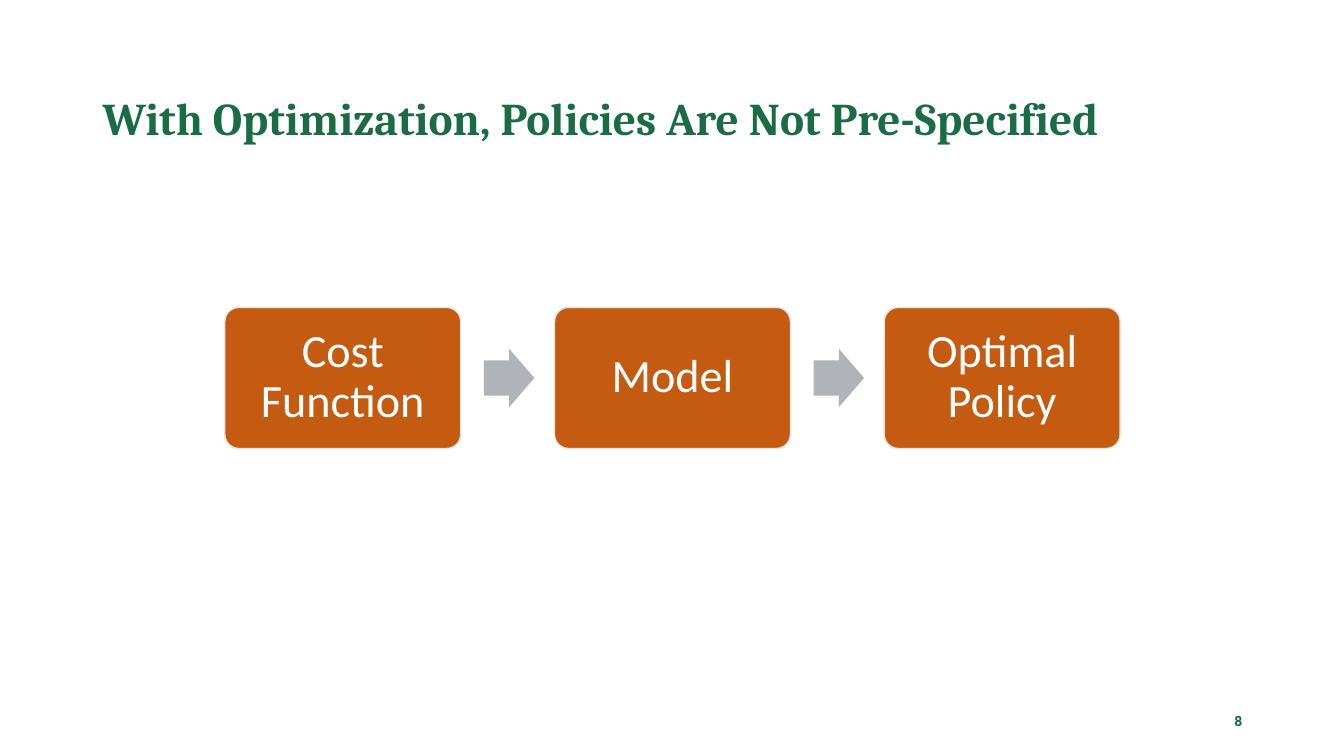
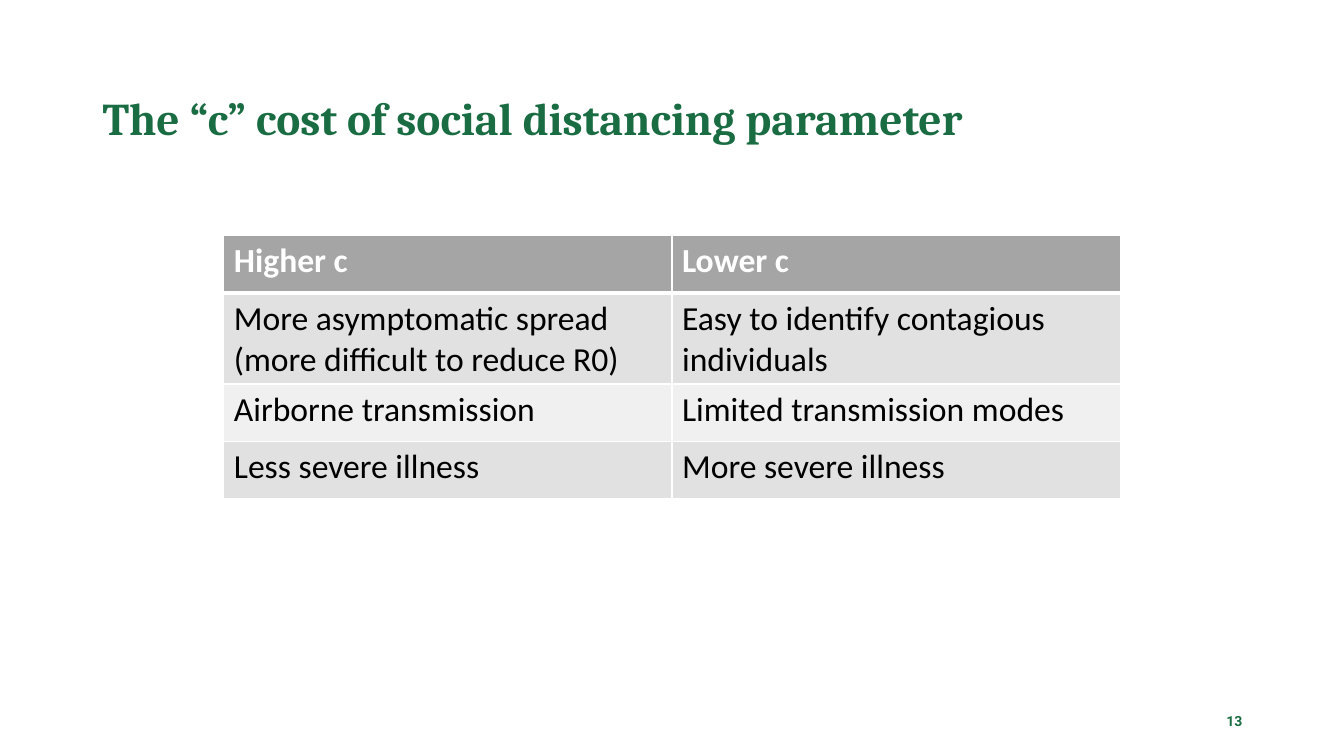
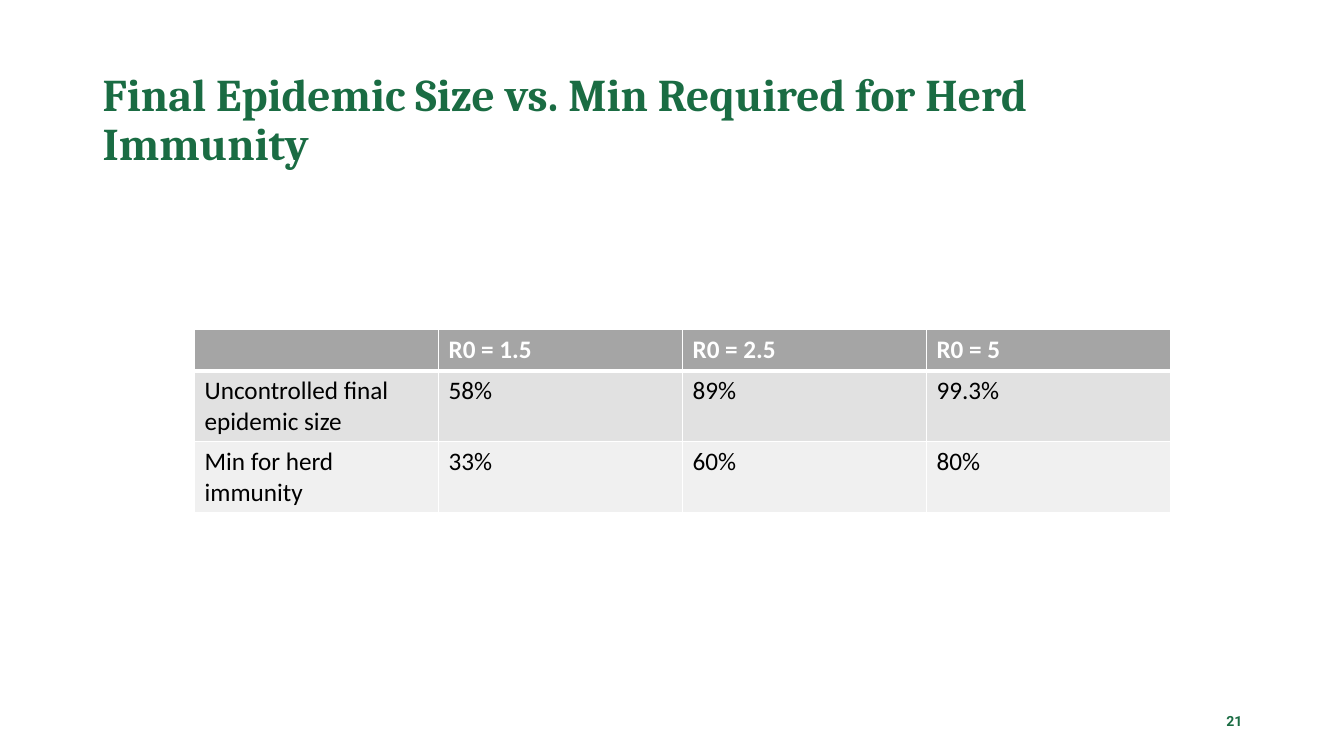
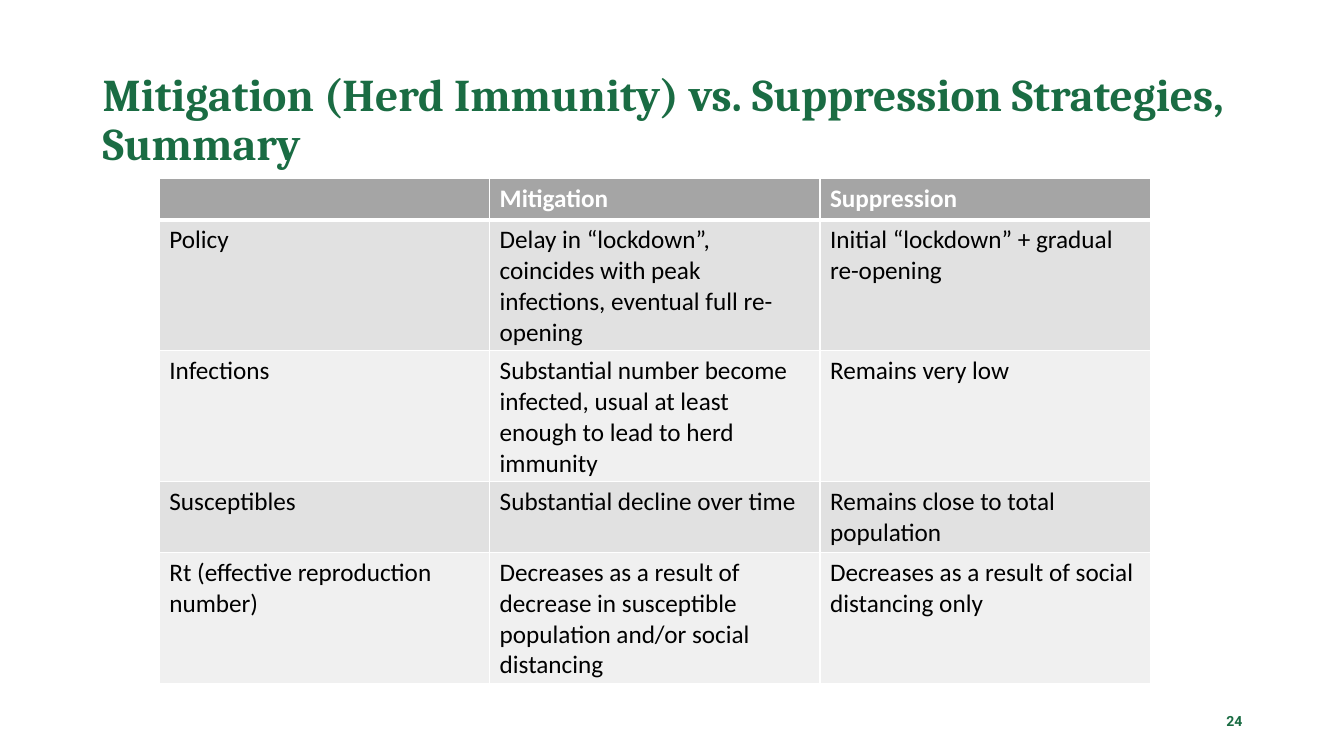
from lxml.etree import SubElement
from pptx import Presentation
from pptx.dml.color import RGBColor
from pptx.enum.shapes import MSO_SHAPE as Shape
from pptx.enum.text import MSO_ANCHOR as Anchor, PP_ALIGN as Align
from pptx.oxml.ns import qn
from pptx.util import Inches, Pt

GREEN = RGBColor(0x1A, 0x6C, 0x43)
ORANGE = RGBColor(0xC5, 0x5A, 0x11)
ARROW_GRAY = RGBColor(0xB0, 0xB4, 0xB9)
OUTLINE = RGBColor(0xE7, 0xE6, 0xE6)
HEADER = RGBColor(0xA5, 0xA5, 0xA5)
BAND_DARK = RGBColor(0xE1, 0xE1, 0xE1)
BAND_LIGHT = RGBColor(0xF0, 0xF0, 0xF0)
WHITE = RGBColor(0xFF, 0xFF, 0xFF)
BLACK = RGBColor(0x00, 0x00, 0x00)


def write(frame, text, *, size, color, font="Calibri", bold=False,
          align=Align.LEFT, spacing=1.0, anchor=Anchor.MIDDLE):
    frame.word_wrap = True
    frame.vertical_anchor = anchor
    para = frame.paragraphs[0]
    para.alignment = align
    para.line_spacing = spacing
    span = para.add_run()
    span.text = text
    span.font.name = font
    span.font.size = Pt(size)
    span.font.bold = bold
    span.font.color.rgb = color


def add_grid(page, rows, left, top, width, row_height, size):
    table = page.shapes.add_table(
        len(rows), len(rows[0]), Inches(left), Inches(top),
        Inches(width), Inches(row_height * len(rows))).table
    table.first_row = table.horz_banding = False
    for r, row in enumerate(rows):
        fill = HEADER if r == 0 else BAND_DARK if r % 2 else BAND_LIGHT
        for c, text in enumerate(row):
            cell = table.cell(r, c)
            # White borders, with a heavy rule under the header
            heavy_side = {0: "lnB", 1: "lnT"}.get(r)
            for side in ("lnL", "lnR", "lnT", "lnB"):
                points = 3 if side == heavy_side else 1
                border = SubElement(cell._tc.get_or_add_tcPr(),
                                    qn(f"a:{side}"), w=str(Pt(points)))
                paint = SubElement(border, qn("a:solidFill"))
                SubElement(paint, qn("a:srgbClr"), val=str(WHITE))
            cell.fill.solid()
            cell.fill.fore_color.rgb = fill
            if text:
                write(cell.text_frame, text, size=size, bold=r == 0,
                      color=BLACK if r else WHITE, anchor=Anchor.TOP)


deck = Presentation()
deck.slide_width = Inches(13.33)
deck.slide_height = Inches(7.5)

# Titles and page numbers
headings = [
    ("With Optimization, Policies Are Not Pre-Specified", 8),
    ("The “c” cost of social distancing parameter", 13),
    ("Final Epidemic Size vs. Min Required for Herd Immunity", 21),
    ("Mitigation (Herd Immunity) vs. Suppression Strategies, Summary", 24),
]
pages = []
for title, number in headings:
    page = deck.slides.add_slide(deck.slide_layouts[6])
    box = page.shapes.add_textbox(Inches(0.92), Inches(1.09), Inches(11.5), Inches(0.22))
    write(box.text_frame, title, size=32.4, color=GREEN, font="Cambria",
          bold=True, spacing=0.9)
    box = page.shapes.add_textbox(Inches(9.42), Inches(6.95), Inches(3), Inches(0.4))
    write(box.text_frame, str(number), size=10, color=GREEN, font="Roboto",
          bold=True, align=Align.RIGHT)
    pages.append(page)
flow_page, cost_page, size_page, summary_page = pages

# Flow from cost function to policy
steps = ["Cost Function", "Model", "Optimal Policy"]
for i, step in enumerate(steps):
    left = 2.23 + i * 3.27
    node = flow_page.shapes.add_shape(
        Shape.ROUNDED_RECTANGLE, Inches(left), Inches(3.05), Inches(2.34), Inches(1.4))
    node.adjustments[0] = 0.1
    node.shadow.inherit = False
    node.fill.solid()
    node.fill.fore_color.rgb = ORANGE
    node.line.color.rgb = OUTLINE
    node.line.width = Pt(1)
    frame = node.text_frame
    frame.margin_left = frame.margin_right = Inches(0.14)
    frame.margin_top = frame.margin_bottom = Inches(0.14)
    write(frame, step, size=33, color=WHITE, align=Align.CENTER, spacing=0.9)
    if i < len(steps) - 1:
        arrow = flow_page.shapes.add_shape(
            Shape.RIGHT_ARROW, Inches(left + 2.57), Inches(3.46), Inches(0.5), Inches(0.58))
        arrow.adjustments[0] = 0.6
        arrow.adjustments[1] = 0.5
        arrow.shadow.inherit = False
        arrow.fill.solid()
        arrow.fill.fore_color.rgb = ARROW_GRAY
        arrow.line.fill.background()

# Cost parameter table
add_grid(cost_page, [
    ["Higher c", "Lower c"],
    ["More asymptomatic spread (more difficult to reduce R0)",
     "Easy to identify contagious individuals"],
    ["Airborne transmission", "Limited transmission modes"],
    ["Less severe illness", "More severe illness"],
], left=2.22, top=2.34, width=8.89, row_height=0.57, size=24)

# Epidemic size table
add_grid(size_page, [
    ["", "R0 = 1.5", "R0 = 2.5", "R0 = 5"],
    ["Uncontrolled final epidemic size", "58%", "89%", "99.3%"],
    ["Min for herd immunity", "33%", "60%", "80%"],
], left=1.93, top=3.27, width=9.68, row_height=0.41, size=18)

# Strategy summary table
add_grid(summary_page, [
    ["", "Mitigation", "Suppression"],
    ["Policy",
     "Delay in “lockdown”, coincides with peak infections, eventual full re-opening",
     "Initial “lockdown” + gradual re-opening"],
    ["Infections",
     "Substantial number become infected, usual at least enough to lead to herd immunity",
     "Remains very low"],
    ["Susceptibles", "Substantial decline over time",
     "Remains close to total population"],
    ["Rt (effective reproduction number)",
     "Decreases as a result of decrease in susceptible population and/or social distancing",
     "Decreases as a result of social distancing only"],
], left=1.58, top=1.77, width=9.83, row_height=0.41, size=18)

deck.save("out.pptx")
